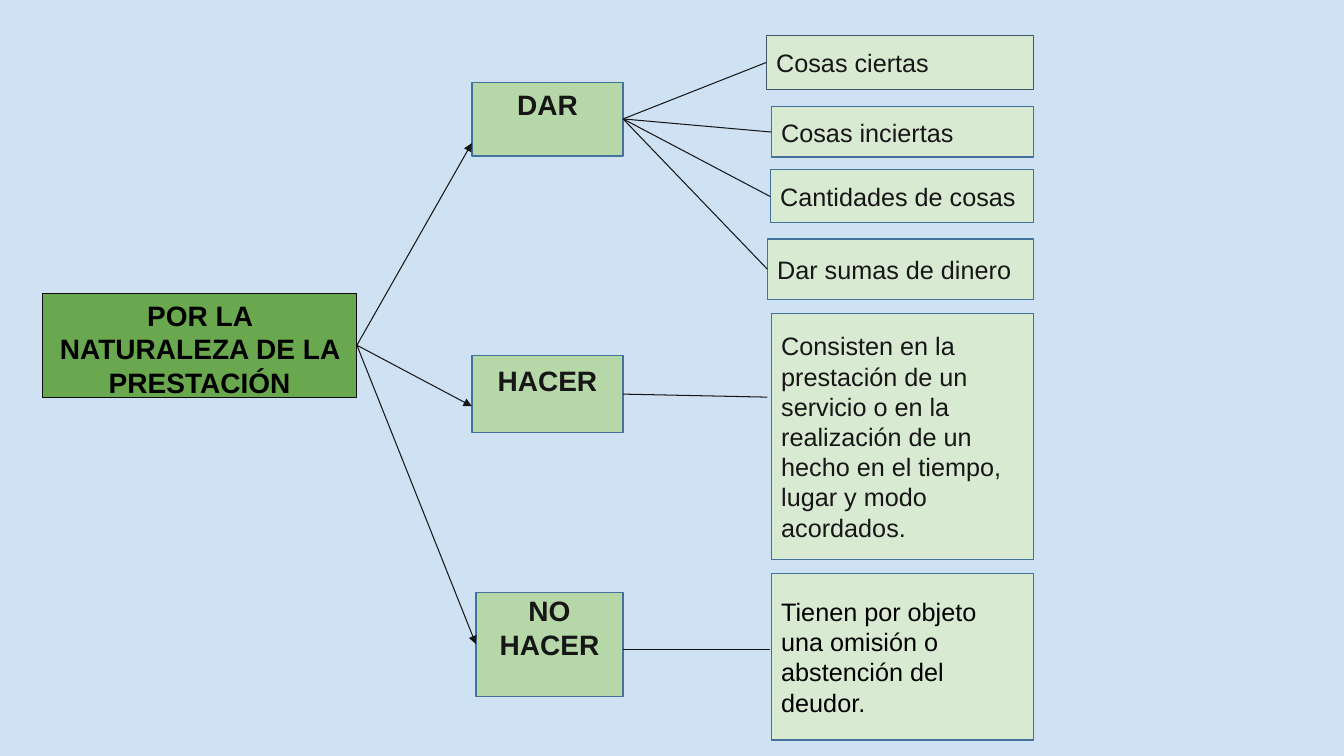
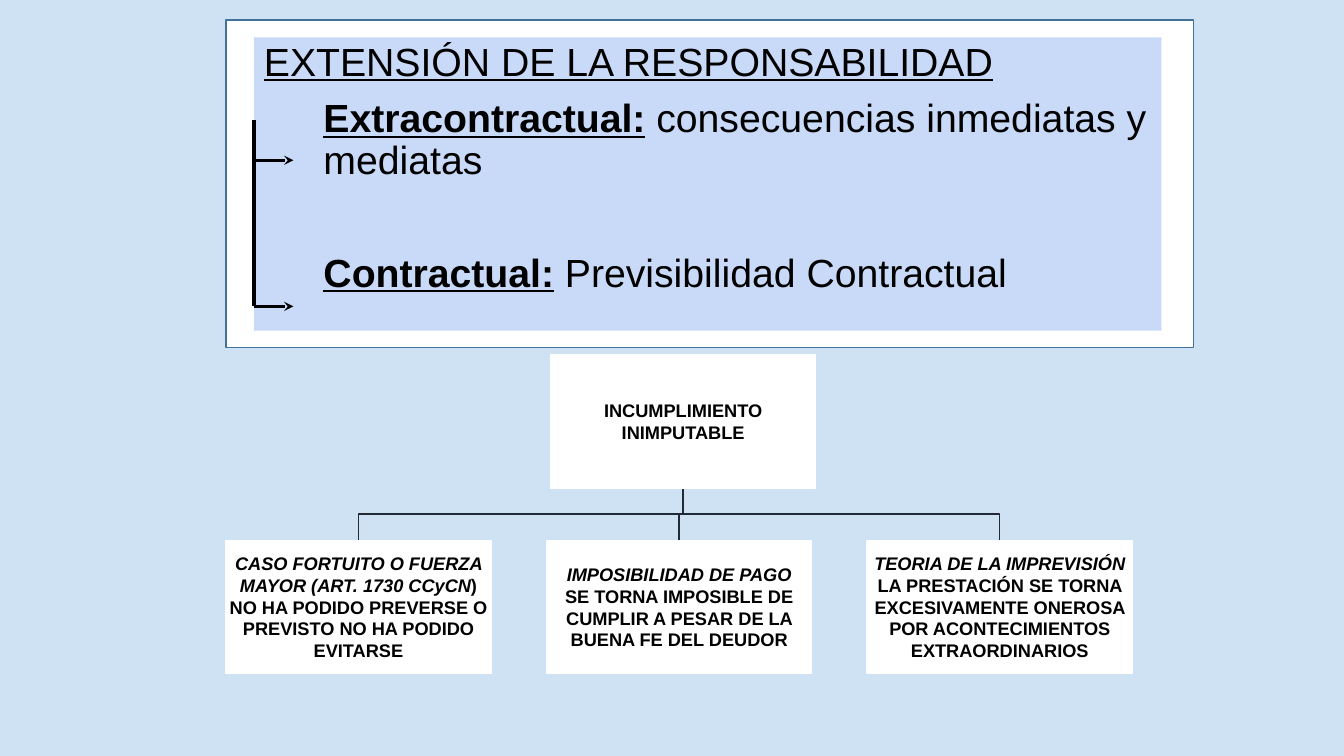
from lxml import etree
from pptx import Presentation
from pptx.dml.color import RGBColor
from pptx.enum.shapes import MSO_CONNECTOR, MSO_SHAPE
from pptx.enum.text import MSO_ANCHOR, PP_ALIGN
from pptx.oxml.ns import qn
from pptx.util import Inches, Pt

STRAIGHT, RECT = MSO_CONNECTOR.STRAIGHT, MSO_SHAPE.RECTANGLE
TOP, MIDDLE, BOTTOM = MSO_ANCHOR.TOP, MSO_ANCHOR.MIDDLE, MSO_ANCHOR.BOTTOM
LEFT, CENTER = PP_ALIGN.LEFT, PP_ALIGN.CENTER

FONT = "Arial"
SKY = RGBColor(0xCF, 0xE2, 0xF3)
WHITE = RGBColor(0xFF, 0xFF, 0xFF)
BLACK = RGBColor(0, 0, 0)
INK = RGBColor(0x17, 0x16, 0x16)
ROOT_GREEN = RGBColor(0x6A, 0xA8, 0x4F)
BRANCH_GREEN = RGBColor(0xB6, 0xD7, 0xA8)
LEAF_GREEN = RGBColor(0xD9, 0xEA, 0xD3)
BLUE_EDGE = RGBColor(0x42, 0x71, 0x9B)
SLATE_EDGE = RGBColor(0x44, 0x54, 0x6A)
ROOT_EDGE = RGBColor(0x0C, 0x0C, 0x0C)
TREE_LINE = RGBColor(0x22, 0x2A, 0x35)
PANEL_BLUE = RGBColor(0xC9, 0xDA, 0xF8)

# A text is a list of paragraphs; a paragraph is a list of (words, style letters).
ROOT = ("POR LA NATURALEZA DE LA PRESTACIÓN", (0.42, 2.91, 3.12, 1.03))
BRANCH_RIGHT, LEAF_RIGHT = 6.18, 10.25
# Branch: label, left, top, height, arrow y, link y, leaves.
# Leaf: text, left, top, height, link end (x, y), ink, edge.
BRANCHES = [
    ("DAR", 4.68, 0.82, 0.73, 1.42, 1.18, [
        ("Cosas ciertas", 7.6, 0.35, 0.54, (7.6, 0.62), INK, SLATE_EDGE),
        ("Cosas inciertas", 7.65, 1.06, 0.5, (7.65, 1.31), INK, BLUE_EDGE),
        ("Cantidades de cosas", 7.64, 1.68, 0.53, (7.64, 1.95), INK, BLUE_EDGE),
        ("Dar sumas de dinero", 7.61, 2.37, 0.6, (7.61, 2.67), INK, BLUE_EDGE),
    ]),
    ("HACER", 4.68, 3.53, 0.76, 4.03, 3.91, [
        ("Consisten en la prestación de un servicio o en la realización de un "
         "hecho en el tiempo, lugar y modo acordados.",
         7.65, 3.11, 2.44, (7.61, 3.94), INK, BLUE_EDGE),
    ]),
    ("NO HACER", 4.72, 5.88, 1.03, 6.39, 6.44, [
        ("Tienen por objeto una omisión o abstención del deudor.",
         7.65, 5.69, 1.65, (7.64, 6.44), BLACK, BLUE_EDGE),
    ]),
]

EXTENSION_TITLE = [("EXTENSIÓN DE LA RESPONSABILIDAD", "u")]
EXTENSION_ITEMS = [  # runs, space before in points
    ([("Extracontractual:", "bu"), (" consecuencias inmediatas y mediatas", "")], 10),
    ([("Contractual:", "bu"), (" Previsibilidad Contractual", "")], 50),
]
EXTENSION_ARROWS = [1.59, 3.04]

BREACH = [[("INCUMPLIMIENTO", "b")], [("INIMPUTABLE", "b")]]
CAUSES = [
    [[("CASO FORTUITO O FUERZA MAYOR (ART. 1730 CCyCN", "bi"), (")", "b")],
     [("NO HA PODIDO PREVERSE O PREVISTO NO HA PODIDO EVITARSE", "b")]],
    [[("IMPOSIBILIDAD DE PAGO", "bi")],
     [("SE TORNA IMPOSIBLE DE CUMPLIR A PESAR DE LA BUENA FE DEL DEUDOR", "b")]],
    [[("TEORIA DE LA IMPREVISIÓN", "bi")],
     [("LA PRESTACIÓN SE TORNA EXCESIVAMENTE ONEROSA POR ACONTECIMIENTOS "
       "EXTRAORDINARIOS", "b")]],
]
CARD_W, CARD_H = 2.63, 1.32
BREACH_LEFT, BREACH_TOP = 5.46, 3.52
CAUSE_LEFT, CAUSE_TOP, CAUSE_STEP = 2.24, 5.36, 3.18


def add_box(slide, at, fill, edge=None, edge_width=1):
    box = slide.shapes.add_shape(RECT, *map(Inches, at))
    box.shadow.inherit = False
    box.fill.solid()
    box.fill.fore_color.rgb = fill
    if edge is None:
        box.line.fill.background()
    else:
        box.line.color.rgb = edge
        box.line.width = Pt(edge_width)
    return box


def write(box, paragraphs, size, color=BLACK, align=LEFT, anchor=MIDDLE,
          insets=(0.1, 0.05, 0.1, 0.05)):
    frame = box.text_frame
    frame.word_wrap = True
    frame.vertical_anchor = anchor
    (frame.margin_left, frame.margin_top,
     frame.margin_right, frame.margin_bottom) = map(Inches, insets)
    for index, runs in enumerate(paragraphs):
        paragraph = frame.add_paragraph() if index else frame.paragraphs[0]
        paragraph.alignment = align
        for words, style in runs:
            run = paragraph.add_run()
            run.text = words
            font = run.font
            font.name, font.size = FONT, Pt(size)
            font.color.rgb = color
            font.bold, font.italic = "b" in style, "i" in style
            font.underline = "u" in style


def add_line(slide, start, end, color=INK, width=0.75, head=None):
    line = slide.shapes.add_connector(STRAIGHT, *map(Inches, (*start, *end)))
    line.line.color.rgb = color
    line.line.width = Pt(width)
    if head:
        etree.SubElement(line.line._get_or_add_ln(), qn("a:tailEnd"), type=head)
    etree.SubElement(line._element.spPr, qn("a:effectLst"))


def add_elbow(slide, start, end):
    """Draw a down-across-down line between two points."""
    middle = (start[1] + end[1]) / 2
    corners = [(start[0], middle), (end[0], middle), end]
    builder = slide.shapes.build_freeform(*map(Inches, start))
    builder.add_line_segments(
        [(Inches(x), Inches(y)) for x, y in corners], close=False)
    elbow = builder.convert_to_shape()
    elbow.shadow.inherit = False
    elbow.fill.background()
    elbow.line.color.rgb = TREE_LINE
    elbow.line.width = Pt(1)


def build_prestation(slide):
    label, at = ROOT
    left, top, width, height = at
    write(add_box(slide, at, ROOT_GREEN, ROOT_EDGE, 0.75), [[(label, "b")]],
          20, align=CENTER, anchor=TOP)
    root_end = (left + width, top + height / 2)
    for label, left, top, height, arrow_y, link_y, leaves in BRANCHES:
        branch = add_box(slide, (left, top, BRANCH_RIGHT - left, height),
                         BRANCH_GREEN, BLUE_EDGE)
        write(branch, [[(label, "b")]], 20, INK, CENTER, BOTTOM,
              (0.1, 0.05, 0.1, 0.35))
        add_line(slide, root_end, (left, arrow_y), head="triangle")
        for text, left, top, height, link_end, ink, edge in leaves:
            leaf = add_box(slide, (left, top, LEAF_RIGHT - left, height),
                           LEAF_GREEN, edge)
            write(leaf, [[(text, "")]], 18, ink)
            add_line(slide, (BRANCH_RIGHT, link_y), link_end)


def build_extension(slide):
    add_box(slide, (2.24, 0.2, 9.6, 3.25), WHITE, BLUE_EDGE)
    panel_left = 2.52
    panel = add_box(slide, (panel_left, 0.37, 9, 2.91), PANEL_BLUE)
    write(panel, [EXTENSION_TITLE] + [runs for runs, _ in EXTENSION_ITEMS],
          28, anchor=TOP)
    title, *items = panel.text_frame.paragraphs
    title.line_spacing = 0.9
    for paragraph, (_, gap) in zip(items, EXTENSION_ITEMS):
        paragraph.line_spacing = 0.9
        paragraph.space_before = Pt(gap)
        properties = paragraph._p.get_or_add_pPr()
        properties.set("marL", str(Inches(0.59)))
        properties.set("indent", "0")
    add_line(slide, (panel_left, 1.19), (panel_left, EXTENSION_ARROWS[-1]),
             BLACK, 2.25)
    for y in EXTENSION_ARROWS:
        add_line(slide, (panel_left, y), (2.91, y), BLACK, 2.25, "stealth")


def build_breach(slide):
    cards = [(BREACH, BREACH_LEFT, BREACH_TOP)]
    cards += [(cause, CAUSE_LEFT + index * CAUSE_STEP, CAUSE_TOP)
              for index, cause in enumerate(CAUSES)]
    trunk = (BREACH_LEFT + CARD_W / 2, BREACH_TOP + CARD_H)
    for _, left, top in cards[1:]:
        add_elbow(slide, trunk, (left + CARD_W / 2, top))
    for text, left, top in cards:
        card = add_box(slide, (left, top, CARD_W, CARD_H), WHITE, WHITE)
        write(card, text, 13, align=CENTER, insets=(0.01,) * 4)


def main():
    deck = Presentation()
    deck.slide_width, deck.slide_height = Inches(13.33), Inches(7.5)
    background = deck.slide_master.background.fill
    background.solid()
    background.fore_color.rgb = SKY
    blank = deck.slide_layouts[6]
    build_prestation(deck.slides.add_slide(blank))
    responsibility = deck.slides.add_slide(blank)
    build_extension(responsibility)
    build_breach(responsibility)
    deck.save("out.pptx")


if __name__ == "__main__":
    main()
